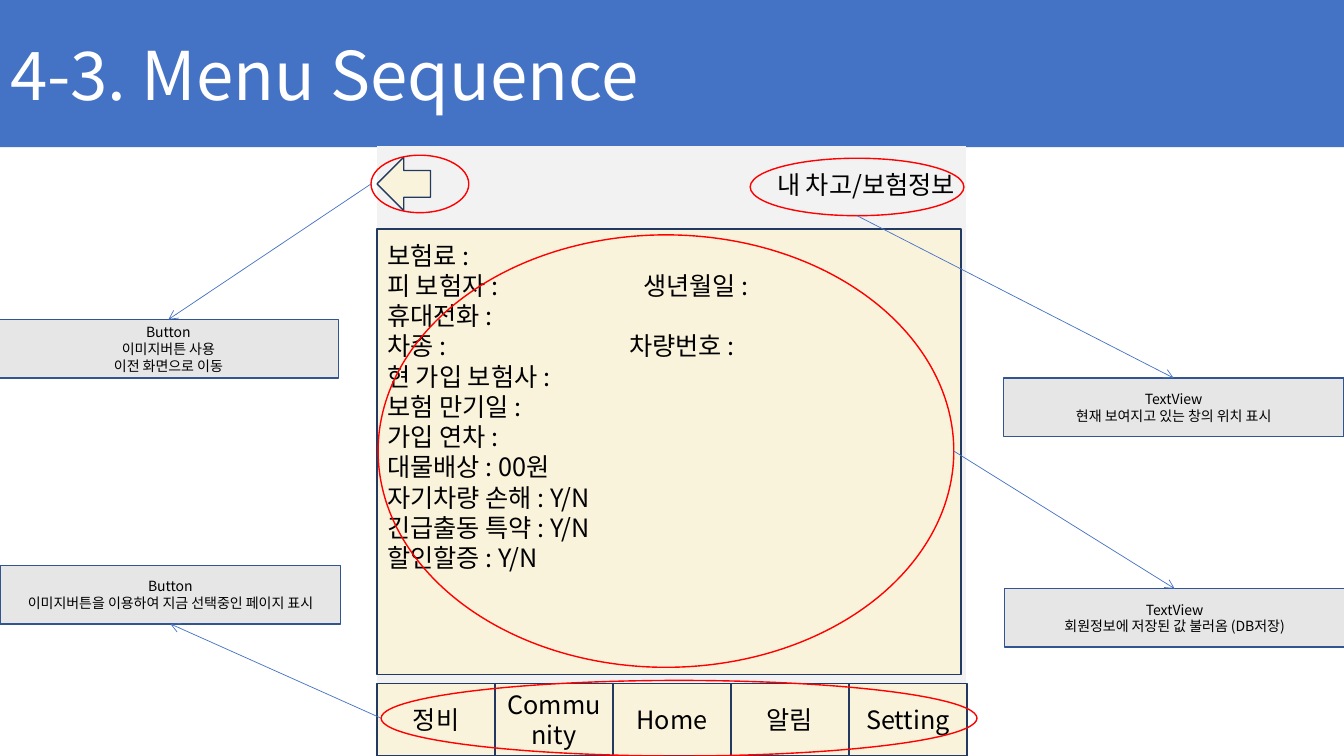
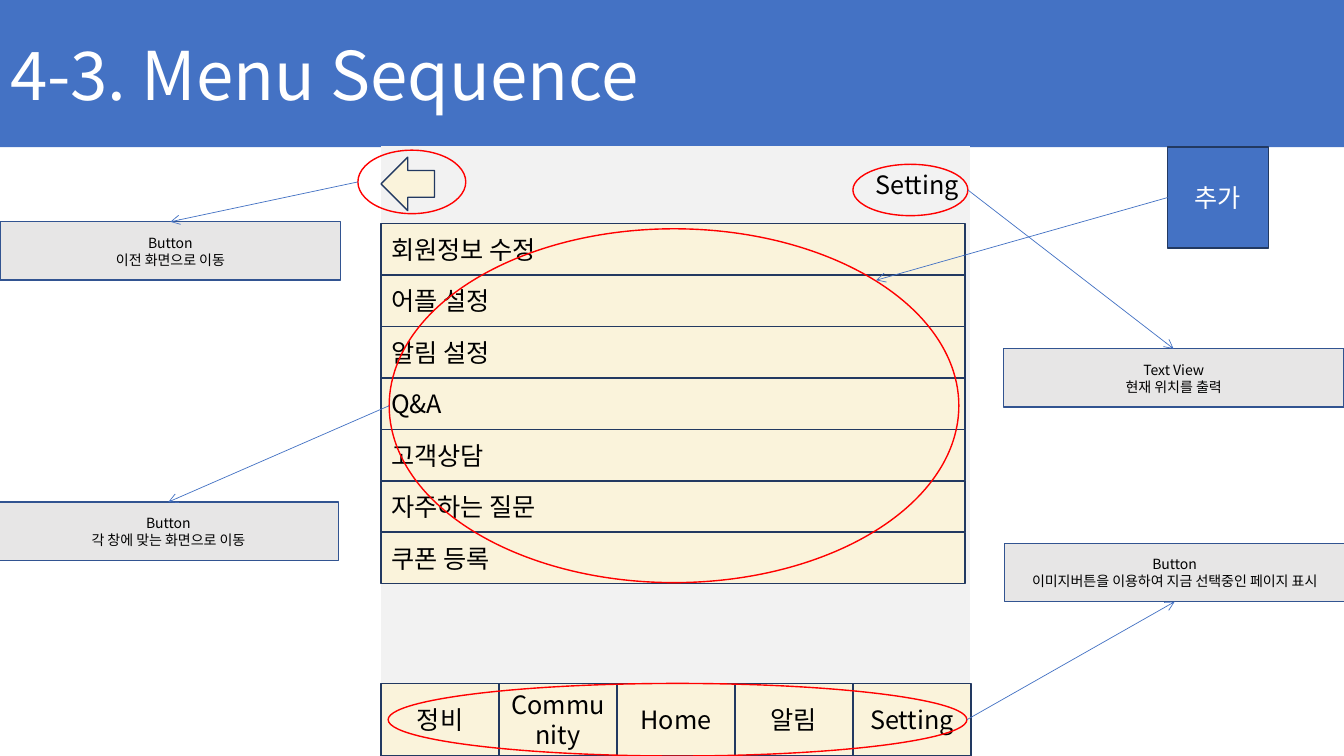
from lxml.etree import SubElement
from pptx import Presentation
from pptx.dml.color import RGBColor
from pptx.enum.shapes import MSO_CONNECTOR, MSO_SHAPE
from pptx.enum.text import MSO_ANCHOR, MSO_AUTO_SIZE, PP_ALIGN
from pptx.oxml.ns import qn
from pptx.util import Inches, Pt

FONT = "Noto Sans CJK KR"
BLUE, NAVY, STEEL = "4472C4", "223961", "325491"
CREAM, PALE, GRAY = "FAF3DB", "F2F2F2", "E7E6E6"
RED, BLACK, WHITE = "FF0000", "000000", "FFFFFF"
LEFT, MID, RIGHT = PP_ALIGN.LEFT, PP_ALIGN.CENTER, PP_ALIGN.RIGHT
TABS = ["정비", "Community", "Home", "알림", "Setting"]
TAB_W = 1.17
NOTE_W, NOTE_H = 3.38, 0.58
ROW_W, ROW_H = 5.79, 0.51
PICK = ["Button", "이미지버튼을 이용하여 지금 선택중인 페이지 표시"]


def color(code):
    return RGBColor.from_string(code)


def write(shape, lines, size=18, ink=BLACK, align=MID, anchor=MSO_ANCHOR.MIDDLE):
    frame = shape.text_frame
    frame.word_wrap = True
    frame.auto_size = MSO_AUTO_SIZE.NONE
    frame.vertical_anchor = anchor
    frame.text = "\n".join(lines)
    for para in frame.paragraphs:
        para.alignment = align
        font = para.font
        font.size = Pt(size)
        font.name = FONT
        font.color.rgb = color(ink)
        props = para._p.get_or_add_pPr().find(qn("a:defRPr"))
        SubElement(props, qn("a:ea")).set("typeface", FONT)


def add_tab(para, pos):
    stops = SubElement(para._p.get_or_add_pPr(), qn("a:tabLst"))
    para._p.pPr.insert(0, stops)
    stop = SubElement(stops, qn("a:tab"))
    stop.set("pos", str(Inches(pos)))
    stop.set("algn", "l")


def add_box(slide, x, y, w, h, fill=None, line=None, kind=MSO_SHAPE.RECTANGLE):
    box = slide.shapes.add_shape(kind, Inches(x), Inches(y), Inches(w), Inches(h))
    box.shadow.inherit = False
    if fill:
        box.fill.solid()
        box.fill.fore_color.rgb = color(fill)
    else:
        box.fill.background()
    if line:
        box.line.color.rgb = color(line)
        box.line.width = Pt(1)
    else:
        box.line.fill.background()
    return box


def add_cell(slide, x, y, w, h, lines, align=MID, anchor=MSO_ANCHOR.MIDDLE):
    cell = add_box(slide, x, y, w, h, CREAM, NAVY)
    write(cell, lines, align=align, anchor=anchor)
    return cell


def add_note(slide, x, y, lines):
    note = add_box(slide, x, y, NOTE_W, NOTE_H, GRAY, STEEL)
    write(note, lines, 10)
    return note


def add_ring(slide, x, y, w, h):
    return add_box(slide, x, y, w, h, line=RED, kind=MSO_SHAPE.OVAL)


def edge(shape, side):
    dx, dy = {"left": (0, 0.5), "right": (1, 0.5),
              "top": (0.5, 0), "bottom": (0.5, 1)}[side]
    return (int(shape.left + shape.width * dx), int(shape.top + shape.height * dy))


def add_arrow(slide, start, end):
    arrow = slide.shapes.add_connector(MSO_CONNECTOR.STRAIGHT, *start, *end)
    arrow.line.color.rgb = color(BLUE)
    arrow.line.width = Pt(0.5)
    SubElement(arrow.line._get_or_add_ln(), qn("a:tailEnd")).set("type", "arrow")
    SubElement(arrow._element.spPr, qn("a:effectLst"))


def link(slide, ring, side, note, end="top"):
    add_arrow(slide, edge(ring, side), edge(note, end))


def add_screen(deck, x, place):
    slide = deck.slides.add_slide(deck.slide_layouts[5])
    title = slide.shapes.title
    title.left, title.top = 0, 0
    title.width, title.height = deck.slide_width, Inches(1.46)
    title.fill.solid()
    title.fill.fore_color.rgb = color(BLUE)
    write(title, ["4-3. Menu Sequence"], 48, WHITE, LEFT)
    add_box(slide, x, 1.45, 5.84, 6.05, PALE)
    for i, name in enumerate(TABS):
        add_cell(slide, x + i * TAB_W, 6.78, TAB_W, 0.72, [name])
    add_box(slide, x, 1.56, 0.53, 0.53, CREAM, NAVY, MSO_SHAPE.LEFT_ARROW)
    label = slide.shapes.add_textbox(Inches(x + 1.39), Inches(1.47), Inches(4.44), Inches(0.72))
    write(label, [place], align=RIGHT)
    return slide


def add_policy(deck):
    slide = add_screen(deck, 3.74, "내 차고/보험정보")
    lines = ["보험료 :", "피 보험자 :\t생년월일 :", "휴대전화 :", "차종 :\t차량번호 :",
             "현 가입 보험사 :", "보험 만기일 :", "가입 연차 :", "대물배상 : 00원",
             "자기차량 손해 : Y/N", "긴급출동 특약 : Y/N", "할인할증 : Y/N"]
    panel = add_cell(slide, 3.74, 2.27, ROW_W, 4.42, lines, LEFT, MSO_ANCHOR.TOP)
    panel.text_frame.margin_top = Inches(0.11)
    for row, pos in ((1, 2.54), (3, 2.4)):
        add_tab(panel.text_frame.paragraphs[row], pos)

    back = add_note(slide, -0.02, 3.17, ["Button", "이미지버튼 사용", "이전 화면으로 이동"])
    data = add_note(slide, 9.96, 5.84, ["TextView", "회원정보에 저장된 값 불러옴 (DB저장)"])
    place = add_note(slide, 9.95, 3.75, ["TextView", "현재 보여지고 있는 창의 위치 표시"])
    pick = add_note(slide, 0, 5.61, PICK)

    link(slide, add_ring(slide, 3.68, 1.54, 0.97, 0.57), "left", back)
    link(slide, add_ring(slide, 7.44, 1.57, 2.12, 0.57), "bottom", place)
    link(slide, add_ring(slide, 3.75, 2.33, 5.71, 4.29), "right", data)
    link(slide, add_ring(slide, 3.78, 6.75, 5.91, 0.75), "left", pick, "bottom")


def add_setting(deck):
    slide = add_screen(deck, 3.78, "Setting")
    rows = ["회원정보 수정", "어플 설정", "알림 설정", "Q&A", "고객상담", "자주하는 질문", "쿠폰 등록"]
    for i, name in enumerate(rows):
        add_cell(slide, 3.78, 2.22 + i * ROW_H, ROW_W, ROW_H, [name], LEFT)

    place = add_note(slide, 9.95, 3.46, ["Text View", "현재 위치를 출력"])
    back = add_note(slide, 0, 2.2, ["Button", "이전 화면으로 이동"])
    menu = add_note(slide, -0.02, 4.98, ["Button", "각 창에 맞는 화면으로 이동"])
    pick = add_note(slide, 9.96, 5.39, PICK)

    link(slide, add_ring(slide, 3.55, 1.49, 1.07, 0.63), "left", back)
    link(slide, add_ring(slide, 8.46, 1.63, 1.14, 0.51), "right", place)
    link(slide, add_ring(slide, 3.86, 2.27, 5.65, 3.51), "left", menu)
    link(slide, add_ring(slide, 3.85, 6.78, 5.74, 0.72), "right", pick, "bottom")

    badge = add_box(slide, 11.58, 1.46, 1, 1, BLUE, NAVY)
    write(badge, ["추가"], ink=WHITE)
    add_arrow(slide, edge(badge, "left"), (Inches(8.69), Inches(2.78)))


def main():
    deck = Presentation()
    deck.slide_width, deck.slide_height = Inches(13.33), Inches(7.5)
    add_policy(deck)
    add_setting(deck)
    deck.save("out.pptx")


if __name__ == "__main__":
    main()
